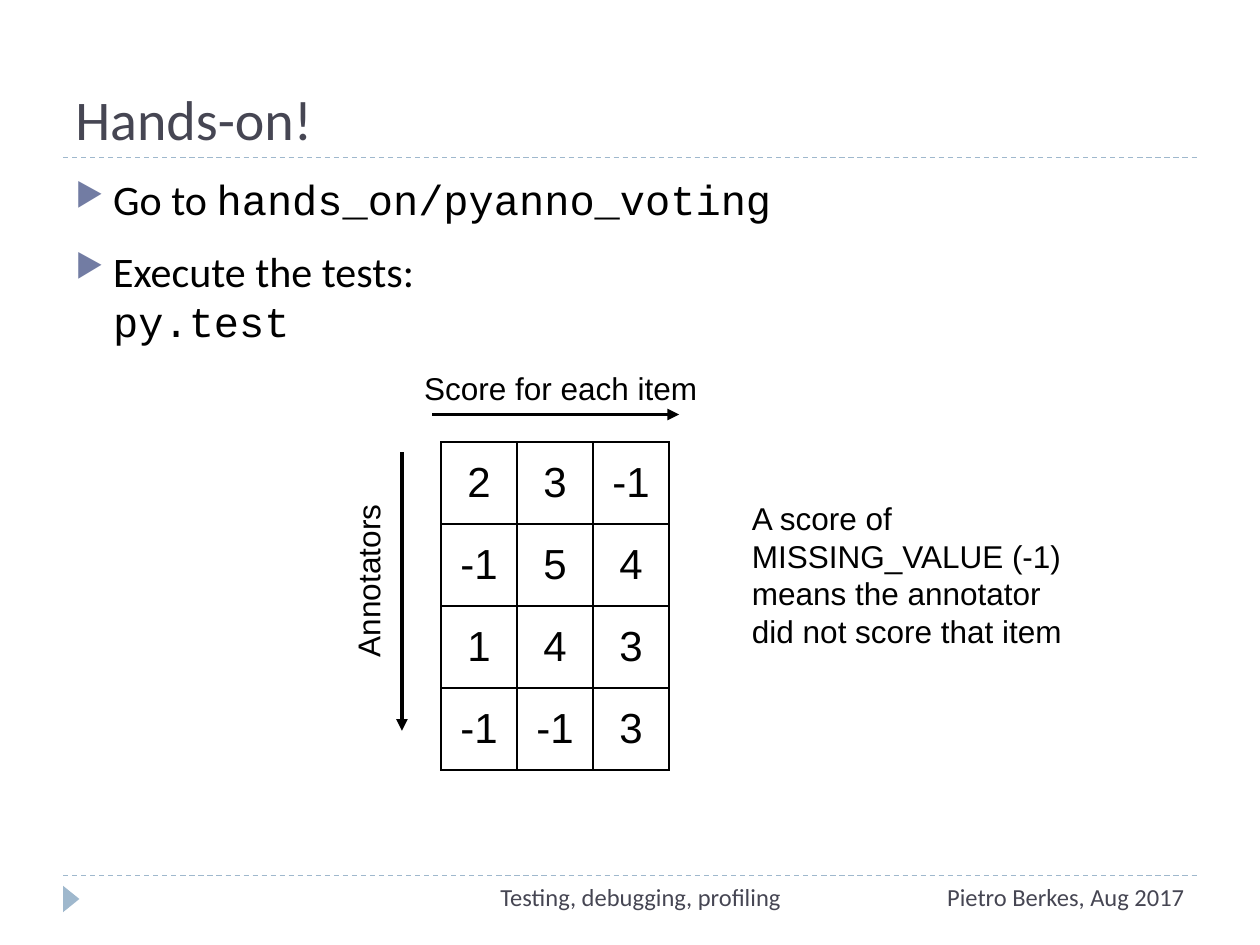
from lxml import etree
from pptx import Presentation
from pptx.dml.color import RGBColor
from pptx.enum.dml import MSO_LINE
from pptx.enum.shapes import MSO_CONNECTOR, MSO_SHAPE
from pptx.enum.text import MSO_ANCHOR, PP_ALIGN
from pptx.oxml.ns import qn
from pptx.util import Inches, Pt

BLACK = RGBColor(0x00, 0x00, 0x00)
SLATE = RGBColor(0x46, 0x46, 0x53)
SKY = RGBColor(0x9F, 0xB8, 0xCD)
INDIGO = RGBColor(0x72, 0x7C, 0xA3)

LEFT, MID, RIGHT = PP_ALIGN.LEFT, PP_ALIGN.CENTER, PP_ALIGN.RIGHT
TOP, CENTRE, BOTTOM = MSO_ANCHOR.TOP, MSO_ANCHOR.MIDDLE, MSO_ANCHOR.BOTTOM
DASH = MSO_LINE.DASH
STRAIGHT = MSO_CONNECTOR.STRAIGHT
TRIANGLE = MSO_SHAPE.ISOSCELES_TRIANGLE

SANS, HEAD, CODE = "Arial", "Calibri", "Courier New"
COLS, ROWS = 20, 15

TITLE = {"name": HEAD, "size": Pt(32), "color": SLATE}
BODY = {"name": HEAD, "size": Pt(24), "color": BLACK}
MONO = {**BODY, "name": CODE}
FOOT = {"name": HEAD, "size": Pt(14), "color": SLATE}
LABEL = {"name": SANS, "size": Pt(18), "color": BLACK}
SCORE = {"name": SANS, "size": Pt(24), "color": BLACK}

SCORES = [(2, 3, -1), (-1, 5, 4), (1, 4, 3), (-1, -1, 3)]


def child(node, tag, **attrs):
    return etree.SubElement(node, qn(tag), attrs)


class Page:
    """Holds the slide and its grid; every box is in columns and rows."""

    def __init__(self, deck):
        self.slide = deck.slides.add_slide(deck.slide_layouts[6])
        self.shapes = self.slide.shapes
        self.col = deck.slide_width / COLS
        self.row = deck.slide_height / ROWS

    def spot(self, *grid):
        """Turn alternating columns and rows into lengths."""
        units = (self.col, self.row)
        return [round(n * units[i % 2]) for i, n in enumerate(grid)]

    def run(self, para, text, style):
        run = para.add_run()
        run.text = text
        for key, value in style.items():
            if key == "color":
                run.font.color.rgb = value
            else:
                setattr(run.font, key, value)

    def text(self, box, paras, align=LEFT, anchor=TOP, turn=0, bullet=False):
        """Add a box; each paragraph is a list of (text, style) runs."""
        shape = self.shapes.add_textbox(*self.spot(*box))
        shape.rotation = turn
        frame = shape.text_frame
        frame.word_wrap = True
        frame.vertical_anchor = anchor
        for i, runs in enumerate(paras):
            para = frame.paragraphs[0] if i == 0 else frame.add_paragraph()
            para.alignment = align
            if bullet:
                self.bullet(para)
            for words, style in runs:
                if words == "\n":
                    para.add_line_break()
                else:
                    self.run(para, words, style)

    def bullet(self, para):
        para.space_before = Pt(12)
        props = para._p.get_or_add_pPr()
        props.set("marL", str(Inches(0.3)))
        props.set("indent", str(-Inches(0.3)))
        child(child(props, "a:buClr"), "a:srgbClr", val=str(INDIGO))
        child(props, "a:buSzPct", val="76000")
        child(props, "a:buChar", char="▶")

    def line(self, ends, color, width, dash=None, arrow=False):
        link = self.shapes.add_connector(STRAIGHT, *self.spot(*ends))
        link.line.color.rgb = color
        link.line.width = Pt(width)
        if dash:
            link.line.dash_style = dash
        if arrow:
            child(link.line._get_or_add_ln(), "a:tailEnd", type="triangle")
        child(link._element.spPr, "a:effectLst")

    def marker(self, box):
        shape = self.shapes.add_shape(TRIANGLE, *self.spot(*box))
        shape.rotation = 90
        shape.shadow.inherit = False
        shape.fill.solid()
        shape.fill.fore_color.rgb = SKY
        shape.line.fill.background()

    def table(self, box, data):
        grid = self.shapes.add_table(len(data), len(data[0]), *self.spot(*box)).table
        grid.first_row = grid.horz_banding = False
        for r, values in enumerate(data):
            for c, value in enumerate(values):
                cell = grid.cell(r, c)
                cell.vertical_anchor = CENTRE
                para = cell.text_frame.paragraphs[0]
                para.alignment = MID
                self.run(para, str(value), SCORE)
                self.border(cell)
                cell.fill.background()

    def border(self, cell):
        props = cell._tc.get_or_add_tcPr()
        for side in ("a:lnL", "a:lnR", "a:lnT", "a:lnB"):
            edge = child(props, side, w=str(Pt(1)))
            child(child(edge, "a:solidFill"), "a:srgbClr", val=str(BLACK))


def main():
    deck = Presentation()
    deck.slide_width, deck.slide_height = Inches(10), Inches(7.5)
    page = Page(deck)

    for y in (2.5, 13.9):
        page.line((1, y, 19, y), SKY, 0.75, dash=DASH)
    page.marker((0.92, 14.14, 0.42, 0.26))

    page.text((1, 0.34, 18, 2.16), [[("Hands-on!", TITLE)]], anchor=BOTTOM)
    steps = [
        [("Go to ", BODY), ("hands_on/pyanno_voting", MONO)],
        [("Execute the tests:", BODY), ("\n", BODY), ("py.test", MONO)],
    ]
    page.text((1, 2.66, 18, 10.8), steps, bullet=True)
    page.text((14, 13.9, 5, 0.8), [[("Pietro Berkes, Aug 2017", FOOT)]], RIGHT)
    page.text((6.34, 13.9, 7.66, 0.8), [[("Testing, debugging, profiling", FOOT)]], MID)

    page.table((7, 7.02, 3.62, 5.2), SCORES)
    for ends in ((6.86, 6.58, 10.78, 6.58), (6.38, 7.18, 6.38, 11.6)):
        page.line(ends, BLACK, 2.25, arrow=True)
    page.text((3.64, 8.82, 4.4, 0.8), [[("Annotators", LABEL)]], MID, turn=270)
    page.text((6.22, 5.76, 5.36, 0.8), [[("Score for each item", LABEL)]], MID)
    note = "A score of MISSING_VALUE (-1) means the annotator did not score that item"
    page.text((11.74, 7.82, 5.52, 2.62), [[(note, LABEL)]])

    deck.save("out.pptx")


if __name__ == "__main__":
    main()
